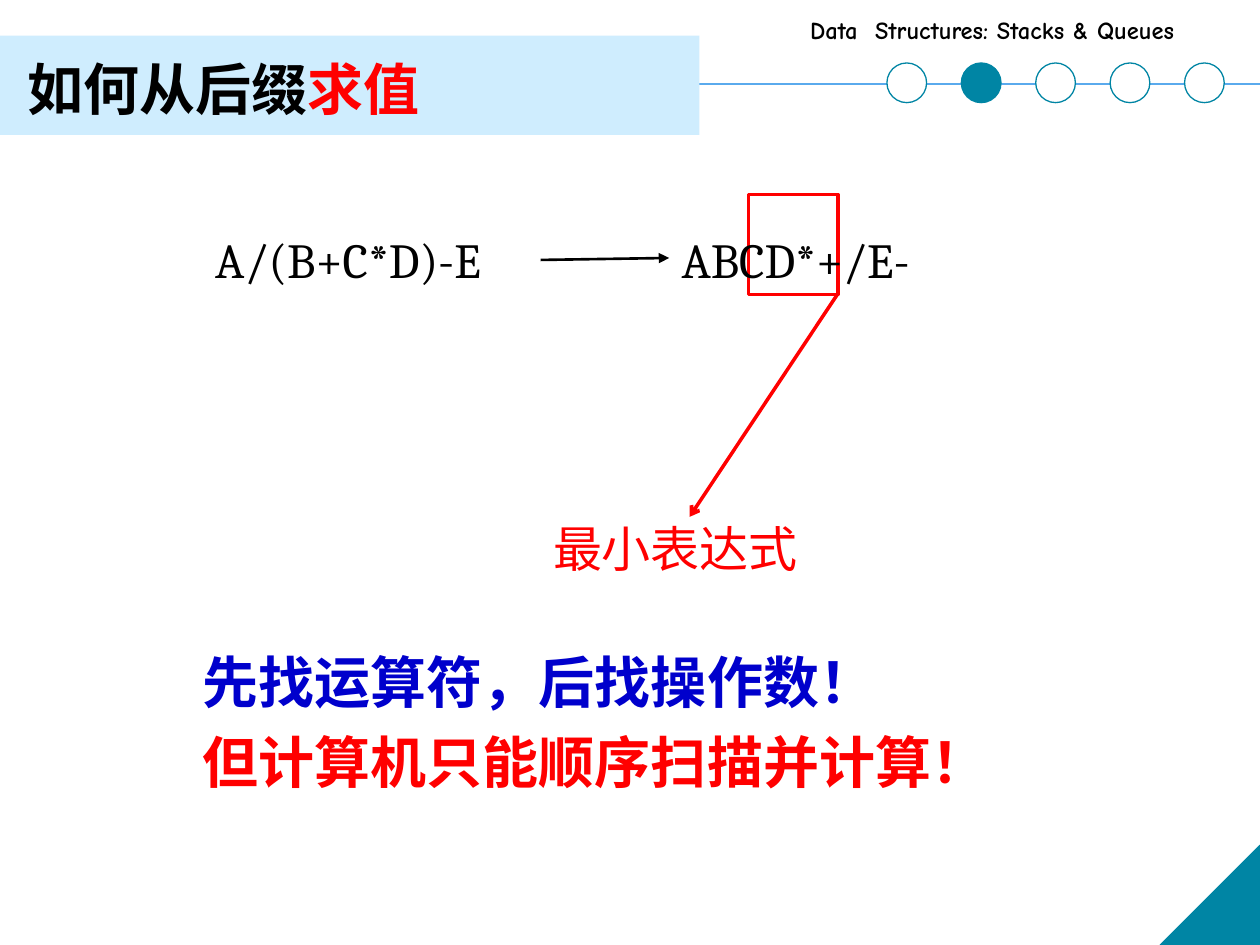
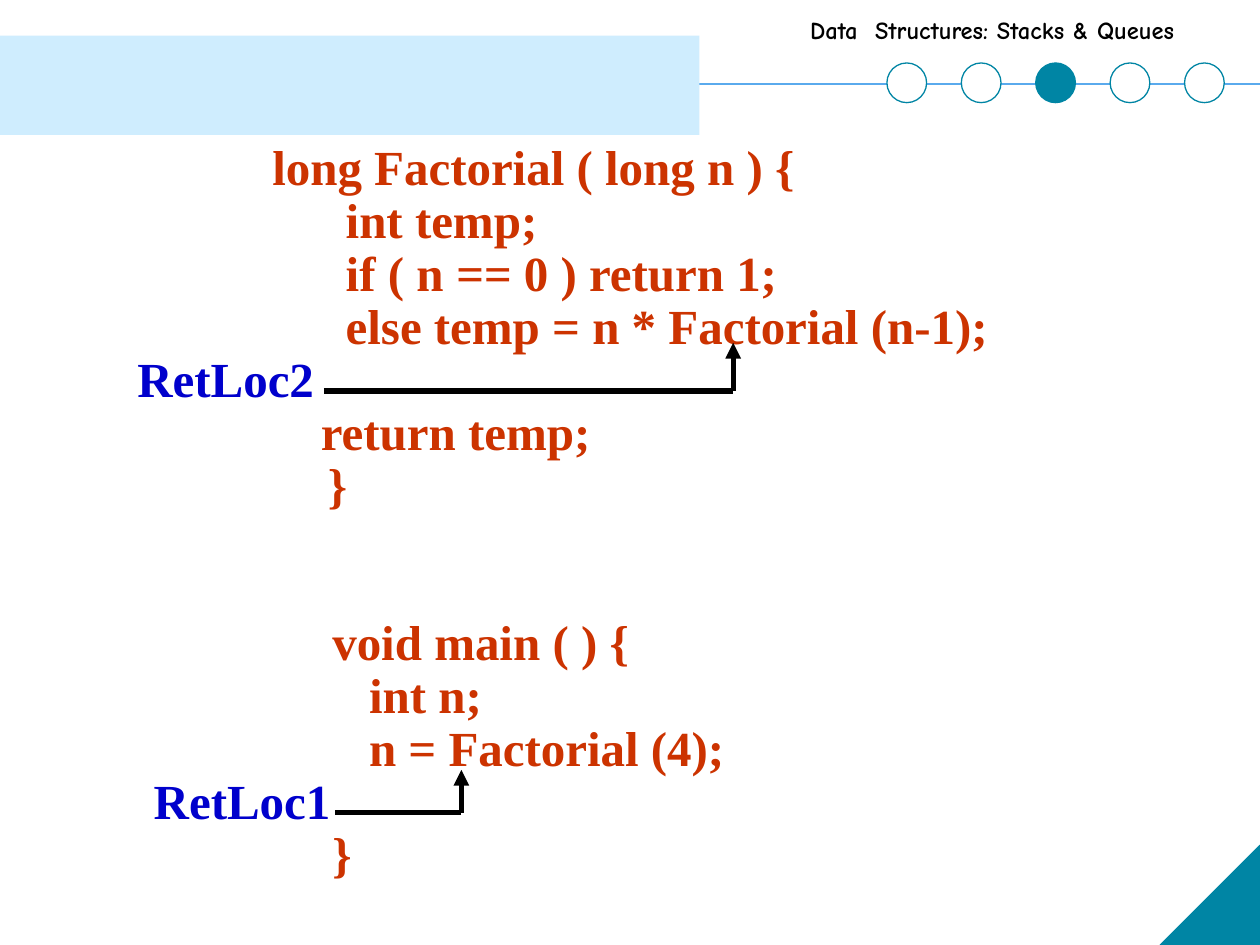
from pptx import Presentation
from pptx.dml.color import RGBColor
from pptx.enum.shapes import MSO_CONNECTOR, MSO_SHAPE
from pptx.oxml.ns import qn
from pptx.util import Cm, Pt
from lxml.etree import SubElement

BLACK, WHITE, RED, BLUE = "000000", "FFFFFF", "FF0000", "0000CC"
TEAL, PALE_BLUE, SKY, RUST = "0085A4", "CFEDFE", "5AAAED", "CC3300"
HAN = "Noto Sans CJK SC"
FORMULA = dict(name="Cambria", size=Pt(28))
CODE = dict(name="Times New Roman", size=Pt(28), bold=True)
HEADING = dict(name=HAN, size=Pt(32), bold=True)


def rgb(value):
    return RGBColor.from_string(value)


class Deck:
    """Holds the shared style and the slide being drawn."""

    def __init__(self):
        self.prs = Presentation()
        self.prs.slide_width, self.prs.slide_height = Cm(25.4), Cm(19.05)
        self.slide = None

    def shape(self, kind, box, fill, outline=None, width=0.75):
        shape = self.slide.shapes.add_shape(kind, *map(Cm, box))
        shape.shadow.inherit = False
        shape.fill.solid()
        shape.fill.fore_color.rgb = rgb(fill)
        if outline:
            shape.line.color.rgb = rgb(outline)
            shape.line.width = Pt(width)
        else:
            shape.line.fill.background()
        return shape

    def line(self, start, end, color, width, arrow=None):
        connector = self.slide.shapes.add_connector(
            MSO_CONNECTOR.STRAIGHT, *map(Cm, start + end))
        connector.line.color.rgb = rgb(color)
        connector.line.width = Pt(width)
        if arrow:
            SubElement(connector.line._get_or_add_ln(), qn("a:tailEnd"), type=arrow)
        SubElement(connector._element.spPr, qn("a:effectLst"))

    def run(self, paragraph, text, color, style):
        run = paragraph.add_run()
        run.text = text
        run.font.color.rgb = rgb(color)
        for key, value in style.items():
            setattr(run.font, key, value)
        SubElement(run.font._element, qn("a:ea"), typeface=style["name"])
        return run

    def text(self, box, paragraphs, style, gap=0, spacing=1.0):
        """Each paragraph is (indent in cm, [(text, color, overrides), ...])."""
        frame = self.slide.shapes.add_textbox(*map(Cm, box)).text_frame
        frame.word_wrap = True
        for number, (indent, runs) in enumerate(paragraphs):
            paragraph = frame.add_paragraph() if number else frame.paragraphs[0]
            paragraph.line_spacing = spacing
            if number and gap:
                paragraph.space_before = Pt(gap)
            if indent:
                paragraph._p.get_or_add_pPr().set("marL", str(Cm(indent)))
            for words, color, *extra in runs:
                self.run(paragraph, words, color, {**style, **(extra[0] if extra else {})})
        return frame

    def code(self, box, lines):
        self.text(box, lines, CODE, spacing=0.9)

    def return_arrow(self, label_end, call_x, base_y, tip_y):
        """Elbow from a return label up to the call it belongs to."""
        self.line((label_end, base_y), (call_x, base_y), BLACK, 3)
        self.line((call_x, base_y), (call_x, tip_y), BLACK, 3, "triangle")

    def start(self, active):
        """New slide with band, course name, corner and progress circles."""
        self.slide = self.prs.slides.add_slide(self.prs.slide_layouts[6])
        self.line((0, 1.7), (25.4, 1.7), SKY, 1)
        corner = self.shape(MSO_SHAPE.RIGHT_TRIANGLE, (23.39, 17.04, 2.01, 2.01), TEAL, TEAL)
        corner.rotation = 270
        course = self.text((16.08, 0.18, 9.25, 0.86),
                           [(0, [("Data", BLACK), (" ", BLACK),
                                 ("Structures: Stacks & Queues", BLACK)])],
                           dict(name="Comic Neue", size=Pt(14), bold=True))
        # Wider gap after the first word
        course.paragraphs[0].runs[1].font._element.set("spc", "500")
        self.shape(MSO_SHAPE.RECTANGLE, (0, 0.72, 14.1, 2), PALE_BLUE)
        for step in range(5):
            self.shape(MSO_SHAPE.OVAL, (17.88 + 1.5 * step, 1.27, 0.8, 0.8),
                       TEAL if step == active else WHITE, TEAL)


def postfix_slide(deck):
    deck.start(active=1)
    deck.text((0.3, 0.97, 15.3, 2.36),
              [(0, [("如何从后缀", BLACK), ("求值", RED)])], HEADING)

    # Infix to postfix, with the smallest expression framed
    deck.shape(MSO_SHAPE.RECTANGLE, (15.09, 3.92, 1.8, 2.02), WHITE, RED, 2)
    deck.text((4.09, 4.5, 6.81, 1.45), [(0, [("A/(B+C*D)-E", BLACK)])], FORMULA)
    deck.text((13.49, 4.5, 7.4, 1.45), [(0, [("ABCD*+/E-", BLACK)])], FORMULA)
    deck.line((10.9, 5.24), (13.49, 5.2), BLACK, 1.5, "triangle")
    deck.line((16.89, 5.92), (13.9, 10.42), RED, 2, "arrow")
    deck.text((10.9, 10.32, 7.8, 1.45), [(0, [("最小表达式", RED)])],
              dict(name=HAN, size=Pt(28)))

    # Conclusions
    deck.text((3.84, 12.93, 17.4, 3.68),
              [(0, [("先找运算符，后找操作数！", BLUE)]),
               (0, [("但计算机只能顺序扫描并计算！", RED)])], HEADING, gap=7.5)


def factorial_slide(deck):
    deck.start(active=2)
    deck.code((0.79, 2.77, 22.43, 7.8), [
        (4.45, [("long Factorial ( long n ) {", RUST)]),
        (5.93, [("int temp;", RUST)]),
        (5.93, [("if ( n", RUST), (" ==", RUST, dict(italic=True)),
                (" 0 ) return 1;", RUST)]),
        (5.93, [("else temp = n * Factorial (n-1);", RUST)]),
        (1.73, [("RetLoc2", BLUE)]),
        (5.43, [("return temp;", RUST)]),
        (5.57, [("}", RUST)]),
    ])
    deck.code((1.12, 12.34, 20.42, 5.64), [
        (5.33, [("void main ( ) {", RUST)]),
        (6.07, [("int n;", RUST)]),
        (6.07, [("n = Factorial (4);", RUST)]),
        (1.73, [("RetLoc1", BLUE)]),
        (5.33, [("}", RUST)]),
    ])
    deck.return_arrow(label_end=6.53, call_x=14.78, base_y=7.88, tip_y=6.91)
    deck.return_arrow(label_end=6.76, call_x=9.3, base_y=16.38, tip_y=15.52)


def main():
    deck = Deck()
    postfix_slide(deck)
    factorial_slide(deck)
    deck.prs.save("out.pptx")


if __name__ == "__main__":
    main()
